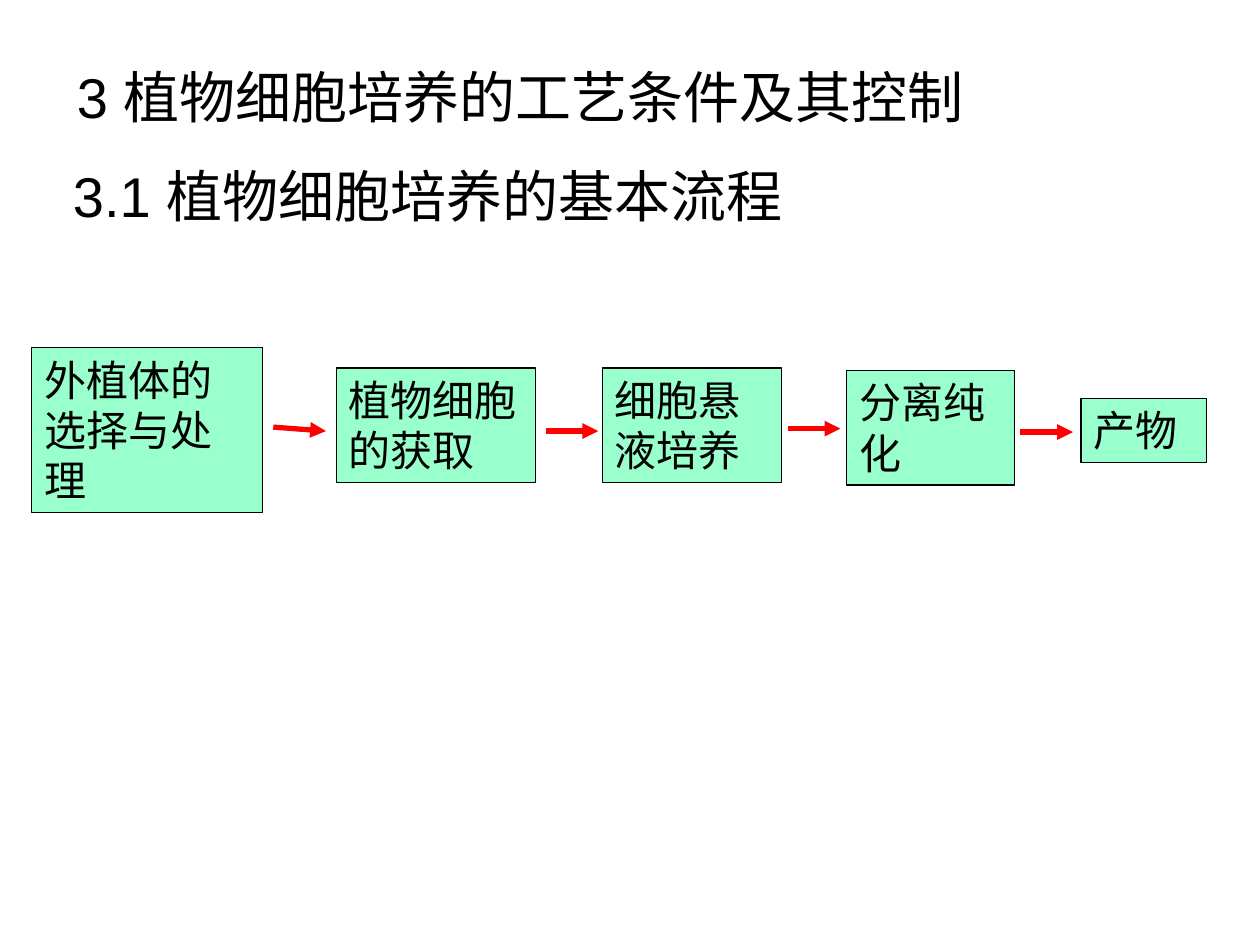
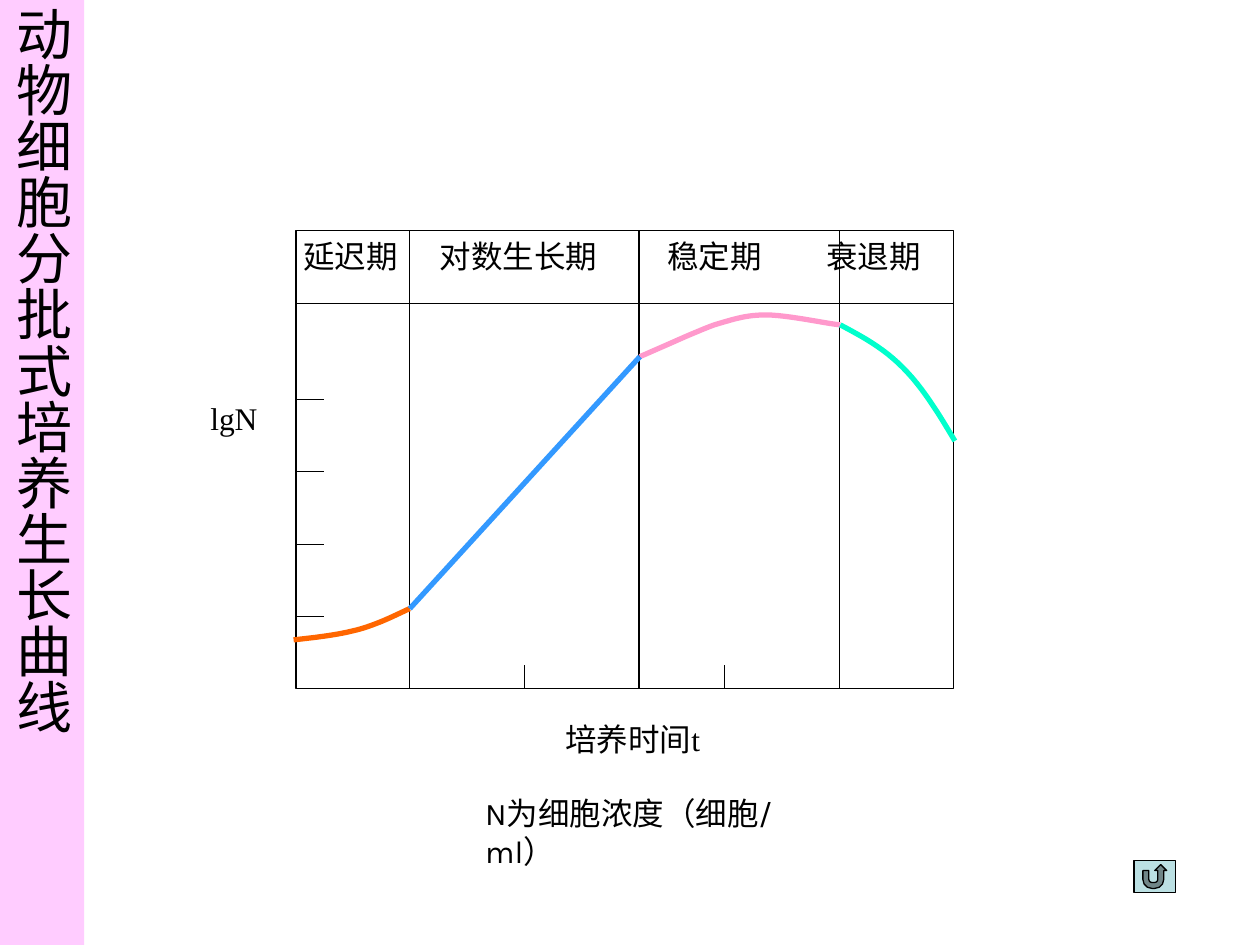
"""Build two slides on plant and animal cell culture."""
import lxml.etree
import pptx
import pptx.dml.color
import pptx.enum.shapes
import pptx.enum.text
import pptx.oxml.ns
import pptx.util

Cm = pptx.util.Cm
Pt = pptx.util.Pt
RGB = pptx.dml.color.RGBColor
SHAPES = pptx.enum.shapes.MSO_SHAPE
ANCHOR = pptx.enum.text.MSO_ANCHOR
qn = pptx.oxml.ns.qn

BLACK = RGB(0x00, 0x00, 0x00)
WHITE = RGB(0xFF, 0xFF, 0xFF)
MINT = RGB(0x99, 0xFF, 0xCC)
RED = RGB(0xFF, 0x00, 0x00)
LILAC = RGB(0xFF, 0xCC, 0xFF)
PALE_BLUE = RGB(0xBB, 0xE0, 0xE3)
ORANGE = RGB(0xFF, 0x66, 0x00)
BLUE = RGB(0x33, 0x99, 0xFF)
PINK = RGB(0xFF, 0x99, 0xCC)
TURQUOISE = RGB(0x00, 0xFF, 0xCC)

CJK = "Noto Sans CJK JP"
SERIF = "Times New Roman"
TITLE_SIZE, STEP_SIZE, LABEL_SIZE = 32, 24, 18
THIN, THICK = 0.75, 3
SLIDE_WIDTH, SLIDE_HEIGHT = 25.4, 19.05
INSETS = (0.25, 0.13)


def write(shape, text, font, size, insets=INSETS, anchor=ANCHOR.TOP, tabs=()):
    """Put one left-aligned black paragraph into a shape."""
    frame = shape.text_frame
    frame.word_wrap = True
    frame.vertical_anchor = anchor
    frame.margin_left = frame.margin_right = Cm(insets[0])
    frame.margin_top = frame.margin_bottom = Cm(insets[1])
    para = frame.paragraphs[0]
    para.text = text
    para.alignment = pptx.enum.text.PP_ALIGN.LEFT
    properties = para._p.get_or_add_pPr()
    if tabs:
        tab_list = lxml.etree.SubElement(properties, qn("a:tabLst"))
        for stop in tabs:
            lxml.etree.SubElement(tab_list, qn("a:tab"), pos=str(Cm(stop)), algn="l")
    para.font.size = Pt(size)
    para.font.color.rgb = BLACK
    para.font.name = font
    lxml.etree.SubElement(properties.find(qn("a:defRPr")), qn("a:ea"), typeface=CJK)


def add_box(slide, box, fill, outlined=False, kind=SHAPES.RECTANGLE):
    """Add a filled shape, with a thin black outline if asked."""
    shape = slide.shapes.add_shape(kind, *map(Cm, box))
    shape.shadow.inherit = False
    shape.fill.solid()
    shape.fill.fore_color.rgb = fill
    if outlined:
        shape.line.color.rgb = BLACK
        shape.line.width = Pt(THIN)
    else:
        shape.line.fill.background()
    return shape


def add_text(slide, box, text, font, size):
    """Add an unfilled text box."""
    write(slide.shapes.add_textbox(*map(Cm, box)), text, font, size)


def add_line(slide, start, end, color=BLACK, width=THIN, arrow=False):
    """Draw a straight line, with an arrowhead at its end if asked."""
    line = slide.shapes.add_connector(
        pptx.enum.shapes.MSO_CONNECTOR.STRAIGHT, *map(Cm, (*start, *end)))
    line.line.color.rgb = color
    line.line.width = Pt(width)
    if arrow:
        lxml.etree.SubElement(line.line._get_or_add_ln(), qn("a:tailEnd"), type="triangle")
    lxml.etree.SubElement(line._element.spPr, qn("a:effectLst"))


def bezier(p0, p1, p2, p3, steps=12):
    """Return the points after p0 along a cubic curve."""
    points = []
    for step in range(1, steps + 1):
        t = step / steps
        weights = ((1 - t) ** 3, 3 * t * (1 - t) ** 2, 3 * t * t * (1 - t), t ** 3)
        points.append(tuple(
            sum(w * p[axis] for w, p in zip(weights, (p0, p1, p2, p3))) for axis in (0, 1)))
    return points


def add_curve(slide, origin, knots, color):
    """Draw a chain of cubic curves through knots relative to origin."""
    points = [knots[0]]
    for first in range(0, len(knots) - 1, 3):
        points += bezier(*knots[first:first + 4])
    placed = [(Cm(origin[0] + x), Cm(origin[1] + y)) for x, y in points]
    builder = slide.shapes.build_freeform(*placed[0])
    builder.add_line_segments(placed[1:], close=False)
    curve = builder.convert_to_shape()
    curve.shadow.inherit = False
    curve.fill.background()
    curve.line.color.rgb = color
    curve.line.width = Pt(THICK)


def add_process(slide, left, top):
    """Draw the five culture steps and the arrows between them."""
    steps = [
        ("外植体的选择与处理", 0, 0, 4.65, 3.33),
        ("植物细胞的获取", 6.14, 0.41, 4.01, 2.31),
        ("细胞悬液培养", 11.5, 0.41, 3.61, 2.31),
        ("分离纯化", 16.43, 0.46, 3.38, 2.31),
        ("产物", 21.15, 1.02, 2.54, 1.3),
    ]
    for text, x, y, width, height in steps:
        step = add_box(slide, (left + x, top + y, width, height), MINT, outlined=True)
        write(step, text, CJK, STEP_SIZE)
    arrows = [(4.87, 1.6, 1.68), (10.36, 1.68, 1.68), (15.24, 1.63, 1.63), (19.93, 1.7, 1.7)]
    for x, start_y, end_y in arrows:
        add_line(slide, (left + x, top + start_y), (left + x + 1.06, top + end_y),
                 RED, THICK, arrow=True)


def add_growth_chart(slide, left, top, width, height):
    """Draw the phase grid, the axis ticks and the growth curve."""
    frame = add_box(slide, (left, top, width, height), WHITE, outlined=True)
    write(frame, "延迟期\t对数生长期\t稳定期\t衰退期", SERIF, LABEL_SIZE,
          insets=(0.14, 0.13), tabs=(2.76, 7.34, 10.55))
    add_line(slide, (left, top + 1.47), (left + width, top + 1.47))
    for x in (2.29, 6.91, 10.95):
        add_line(slide, (left + x, top), (left + x, top + height))
    for row in range(4):
        y = top + 3.4 + 1.46 * row
        add_line(slide, (left, y), (left + 0.56, y))
    for x in (4.6, 8.64):
        add_line(slide, (left + x, top + height), (left + x, top + height - 0.48))

    lag = [(-0.05, 8.25), (0.41, 8.2), (0.84, 8.15), (1.22, 8.05),
           (1.63, 7.95), (2.11, 7.7), (2.29, 7.62)]
    stationary = [(6.93, 2.54), (7.47, 2.31), (8, 2.06), (8.43, 1.9),
                  (8.84, 1.78), (9.07, 1.7), (9.47, 1.7),
                  (9.91, 1.7), (10.72, 1.88), (10.97, 1.9)]
    decline = [(10.97, 1.9), (11.4, 2.13), (11.84, 2.36), (12.24, 2.77),
               (12.62, 3.15), (12.95, 3.68), (13.28, 4.24)]
    for knots, color in ((lag, ORANGE), (stationary, PINK), (decline, TURQUOISE)):
        add_curve(slide, (left, top), knots, color)
    log_start, log_end = lag[-1], stationary[0]
    add_line(slide, (left + log_start[0], top + log_start[1]),
             (left + log_end[0], top + log_end[1]), BLUE, THICK)


def add_axis_labels(slide, left, top):
    """Label the axes, placed from the top left corner of the chart."""
    log_label = add_box(slide, (left - 1.73, top + 3.4, 1.14, 1.47), WHITE)
    write(log_label, "lgN", SERIF, LABEL_SIZE, insets=(0, 0))
    time_label = add_box(slide, (left + 5.18, top + 9.73, 4.04, 1.45), WHITE)
    write(time_label, "培养时间t", SERIF, LABEL_SIZE)
    add_text(slide, (left + 3.56, top + 11.23, 7.42, 1.02),
             "N为细胞浓度（细胞/ml）", "Karla", LABEL_SIZE)


def add_side_title(slide, box, text):
    """Add a coloured band with a vertical title."""
    band = add_box(slide, box, LILAC)
    write(band, text, CJK, TITLE_SIZE, anchor=ANCHOR.MIDDLE)
    band.text_frame._txBody.bodyPr.set("vert", "eaVert")


def build_process_slide(slide):
    """Fill the slide on the basic process."""
    add_text(slide, (1.3, 1.14, 21.41, 1.63), "3 植物细胞培养的工艺条件及其控制",
             "Arial", TITLE_SIZE)
    add_text(slide, (1.22, 3.12, 16.08, 1.6), "3.1 植物细胞培养的基本流程",
             "Arial", TITLE_SIZE)
    add_process(slide, 0.64, 7.01)


def build_growth_slide(slide):
    """Fill the slide on the growth curve."""
    add_side_title(slide, (0, 0, 1.7, SLIDE_HEIGHT), "动物细胞分批式培养生长曲线")
    chart_left, chart_top = 5.97, 4.65
    add_growth_chart(slide, chart_left, chart_top, 13.25, 9.23)
    add_axis_labels(slide, chart_left, chart_top)
    add_box(slide, (22.86, 17.35, 0.84, 0.64), PALE_BLUE, outlined=True,
            kind=SHAPES.ACTION_BUTTON_RETURN)


def main():
    """Create and save the deck."""
    deck = pptx.Presentation()
    deck.slide_width, deck.slide_height = Cm(SLIDE_WIDTH), Cm(SLIDE_HEIGHT)
    for build in (build_process_slide, build_growth_slide):
        build(deck.slides.add_slide(deck.slide_layouts[6]))
    deck.save("out.pptx")


if __name__ == "__main__":
    main()
